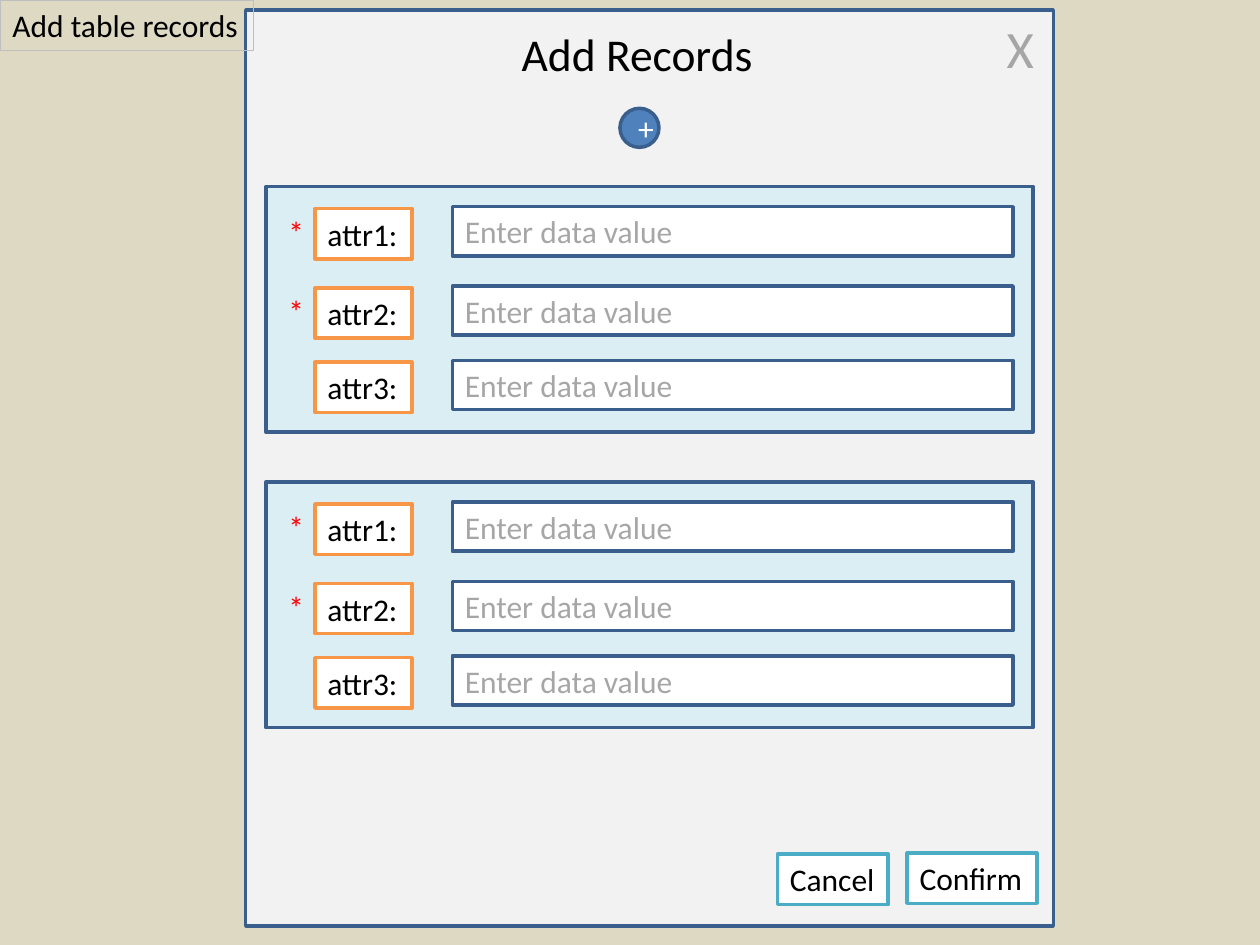
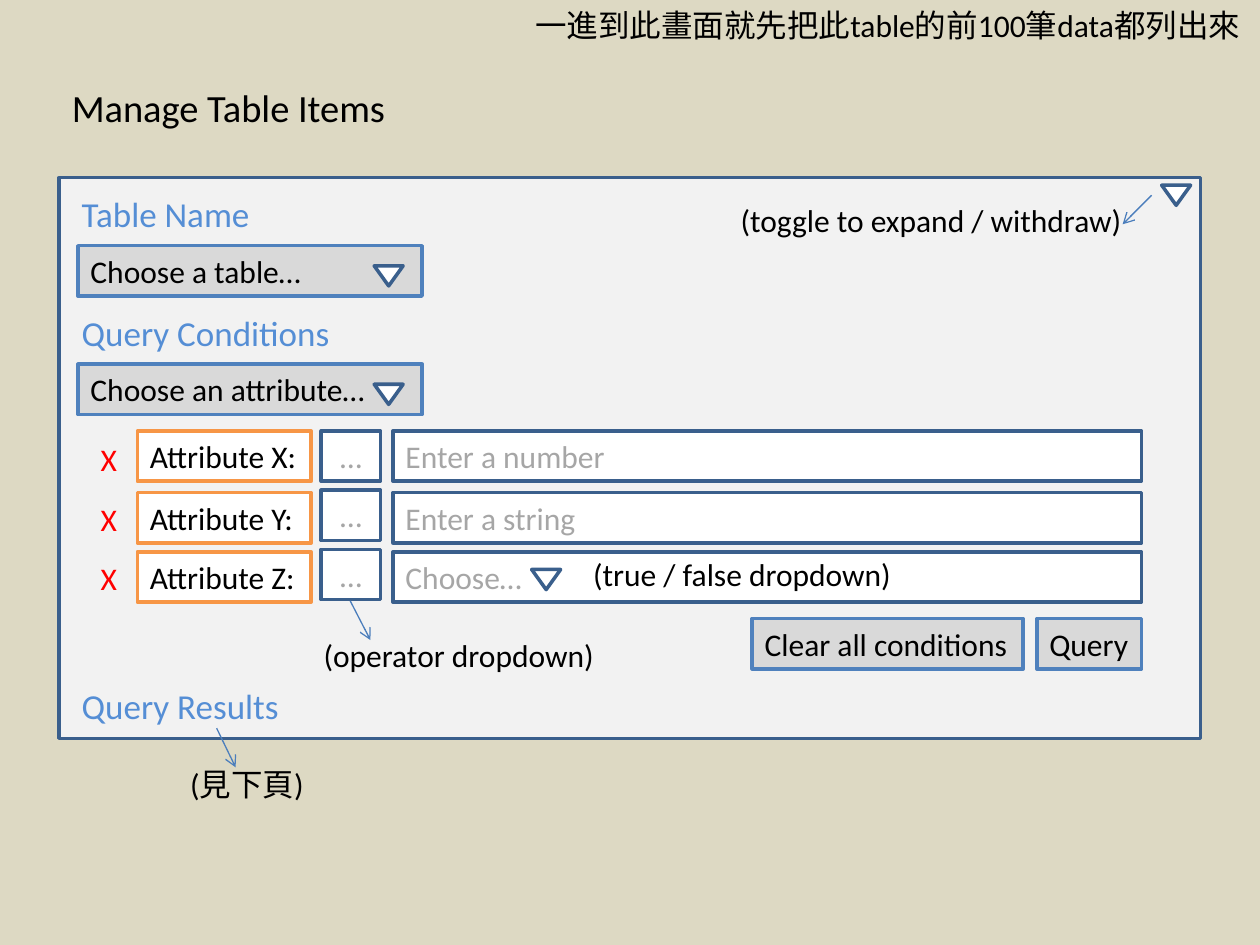
from dataclasses import dataclass, replace
from typing import NamedTuple

from lxml.etree import SubElement
from pptx import Presentation
from pptx.dml.color import RGBColor
from pptx.enum.shapes import MSO_CONNECTOR, MSO_SHAPE
from pptx.enum.text import MSO_ANCHOR, MSO_AUTO_SIZE, PP_ALIGN
from pptx.oxml.ns import qn
from pptx.util import Inches, Pt

WIDTH, HEIGHT = Inches(10), Inches(7.5)
COL, ROW = WIDTH / 100, HEIGHT / 75  # grid of 100 columns by 75 rows
FONT = "Calibri"

SAND, PANEL, PALE_BLUE, BUTTON = "DDD9C3", "F2F2F2", "DBEEF4", "D9D9D9"
WHITE, BLACK, HINT, RED = "FFFFFF", "000000", "A6A6A6", "FF0000"
NAVY, BLUE, HEADING, ARROW = "3A5F8C", "4F81BD", "558ED5", "4B7EBC"
ORANGE, TEAL, SILVER = "F79646", "4BACC6", "BFBFBF"


class Box(NamedTuple):
    """Left, top, width and height in grid columns and rows."""
    x: float
    y: float
    w: float
    h: float

    def lengths(self) -> tuple[int, int, int, int]:
        return (int(self.x * COL), int(self.y * ROW),
                int(self.w * COL), int(self.h * ROW))


@dataclass(frozen=True)
class TextStyle:
    color: str = BLACK
    size: float = 18
    wrap: bool = False
    grow: bool = True
    align: PP_ALIGN = PP_ALIGN.LEFT


@dataclass(frozen=True)
class ShapeStyle:
    fill: str | None
    line: str
    weight: float = 2
    text: TextStyle = TextStyle()


@dataclass(frozen=True)
class Condition:
    label: str
    hint: str
    top: float
    operator_top: float
    remove_top: float


PLAIN = TextStyle()
NOTE = TextStyle(wrap=True)
SECTION = TextStyle(HEADING, 20)
MARK = TextStyle(RED)
HINT_TEXT = TextStyle(HINT, wrap=True, grow=False)

DIALOG = ShapeStyle(PANEL, NAVY)
RECORD = ShapeStyle(PALE_BLUE, NAVY)
TAG = ShapeStyle(None, SILVER, 0.75)
LABEL = ShapeStyle(WHITE, ORANGE)
FIELD = ShapeStyle(WHITE, NAVY, text=HINT_TEXT)
OPERATOR = replace(FIELD, text=replace(HINT_TEXT, align=PP_ALIGN.CENTER))
ADD_BUTTON = ShapeStyle(BLUE, NAVY, text=replace(OPERATOR.text, color=WHITE))
DIALOG_BUTTON = ShapeStyle(WHITE, TEAL)
QUERY_BUTTON = ShapeStyle(BUTTON, BLUE)
DROPDOWN = replace(QUERY_BUTTON, text=NOTE)


def rgb(code: str) -> RGBColor:
    return RGBColor.from_string(code)


def set_text(sp, text: str, style: TextStyle) -> None:
    tf = sp.text_frame
    tf.text = text
    tf.word_wrap = style.wrap
    tf.auto_size = (MSO_AUTO_SIZE.SHAPE_TO_FIT_TEXT if style.grow
                    else MSO_AUTO_SIZE.NONE)
    tf.vertical_anchor = MSO_ANCHOR.TOP if style.grow else MSO_ANCHOR.MIDDLE
    p = tf.paragraphs[0]
    p.alignment = style.align
    p.font.name, p.font.size = FONT, Pt(style.size)
    p.font.color.rgb = rgb(style.color)


def add_shape(s, box: Box, style: ShapeStyle, text: str = "",
              kind: MSO_SHAPE = MSO_SHAPE.RECTANGLE) -> None:
    sp = s.shapes.add_shape(kind, *box.lengths())
    sp.shadow.inherit = False
    if style.fill:
        sp.fill.solid()
        sp.fill.fore_color.rgb = rgb(style.fill)
    else:
        sp.fill.background()
    sp.line.color.rgb = rgb(style.line)
    sp.line.width = Pt(style.weight)
    if text:
        set_text(sp, text, style.text)


def add_text(s, box: Box, text: str, style: TextStyle = PLAIN) -> None:
    set_text(s.shapes.add_textbox(*box.lengths()), text, style)


def add_toggle(s, x: float, y: float) -> None:
    add_shape(s, Box(x, y, 2.3, 1.6), FIELD, kind=MSO_SHAPE.FLOWCHART_MERGE)


def add_arrow(s, x1: float, y1: float, x2: float, y2: float) -> None:
    line = s.shapes.add_connector(MSO_CONNECTOR.STRAIGHT, int(x1 * COL),
                                  int(y1 * ROW), int(x2 * COL), int(y2 * ROW))
    line.line.color.rgb = rgb(ARROW)
    line.line.width = Pt(0.75)
    SubElement(line.line._get_or_add_ln(), qn("a:tailEnd"), type="arrow")
    SubElement(line._element.spPr, qn("a:effectLst"))


def add_screen(prs, panel: Box, title: str, title_box: Box, size: float):
    """Add a slide with its panel and, in front of it, its title."""
    s = prs.slides.add_slide(prs.slide_layouts.get_by_name("Title Only"))
    add_shape(s, panel, DIALOG)
    sp = s.shapes.title
    sp.left, sp.top, sp.width, sp.height = title_box.lengths()
    set_text(sp, title, TextStyle(size=size))
    sp.element.getparent().append(sp.element)
    return s


def add_record(s, top: float) -> None:
    add_shape(s, Box(21.1, top, 60.9, 19.5), RECORD)
    rows = (("attr1:", 1.6, True), ("attr2:", 7.9, True),
            ("attr3:", 13.8, False))
    for name, offset, required in rows:
        y = top + offset
        add_shape(s, Box(25, y + 0.15, 7.7, 4), LABEL, name)
        add_shape(s, Box(35.9, y, 44.5, 3.9), FIELD, "Enter data value")
        if required:
            add_text(s, Box(21.9, y, 3.3, 4), "*", MARK)


def add_records_slide(prs) -> None:
    s = add_screen(prs, Box(19.5, 0.8, 64.1, 72.7),
                   "Add Records", Box(40.4, 1.6, 20.5, 5.4), 26)
    add_shape(s, Box(0, 0, 20.1, 4), TAG, "Add table records")
    add_text(s, Box(78.9, 0.8, 4.2, 6.1), "X", TextStyle(HINT, 30))
    add_shape(s, Box(49.2, 8.6, 3.1, 3.1), ADD_BUTTON, "+", MSO_SHAPE.OVAL)
    for top in (14.8, 38.25):
        add_record(s, top)
    add_shape(s, Box(61.7, 67.8, 8.8, 4), DIALOG_BUTTON, "Cancel")
    add_shape(s, Box(72, 67.7, 10.3, 4), DIALOG_BUTTON, "Confirm")


def add_condition(s, c: Condition) -> None:
    add_text(s, Box(7, c.remove_top, 3.3, 4), "X", MARK)
    add_shape(s, Box(10.9, c.top, 13.8, 4), LABEL, c.label)
    add_shape(s, Box(25.5, c.operator_top, 4.7, 4), OPERATOR, "…")
    add_shape(s, Box(31.2, c.top, 59.4, 4), FIELD, c.hint)


def add_manage_slide(prs) -> None:
    s = add_screen(prs, Box(4.7, 14.1, 90.6, 44.5),
                   "Manage Table Items", Box(4.7, 6.2, 27.2, 4.7), 22)
    add_text(s, Box(41.5, 0, 58.5, 4),
             "一進到此畫面就先把此table的前100筆data都列出來", NOTE)

    choosers = (("Table Name", 15.5, 14.8, "Choose a table…"),
                ("Query Conditions", 21.9, 24.2, "Choose an attribute…"))
    for heading, width, y, prompt in choosers:
        add_text(s, Box(5.5, y, width, 4.4), heading, SECTION)
        add_shape(s, Box(6.2, y + 4.7, 27.3, 4), DROPDOWN, prompt)
        add_toggle(s, 29.7, y + 6.3)
    add_text(s, Box(5.5, 53.8, 17.8, 4.4), "Query Results", SECTION)

    conditions = (
        Condition("Attribute X:", "Enter a number", 34.2, 34.2, 34.4),
        Condition("Attribute Y:", "Enter a string", 39.1, 38.9, 39.2),
        Condition("Attribute Z:", "Choose…", 43.8, 43.6, 43.9),
    )
    for condition in conditions:
        add_condition(s, condition)
    add_toggle(s, 42.2, 45.2)

    add_shape(s, Box(59.7, 49.1, 21.5, 4), QUERY_BUTTON,
              "Clear all conditions")
    add_shape(s, Box(82.3, 49.1, 8.3, 4), QUERY_BUTTON, "Query")
    add_toggle(s, 92.2, 14.7)

    add_text(s, Box(57.8, 15.5, 32.6, 4), "(toggle to expand / withdraw)")
    add_text(s, Box(46.1, 43.6, 26, 4), "(true / false dropdown)")
    add_text(s, Box(24.7, 50, 23.7, 4), "(operator dropdown)")
    add_text(s, Box(14.1, 60.2, 11.1, 4), "(見下頁)", NOTE)
    add_arrow(s, 91.4, 15.5, 89.1, 17.8)
    add_arrow(s, 27.8, 47.7, 29.4, 50.8)
    add_arrow(s, 17.2, 57.8, 18.7, 60.9)


def main() -> None:
    prs = Presentation()
    prs.slide_width, prs.slide_height = WIDTH, HEIGHT
    background = prs.slide_master.background.fill
    background.solid()
    background.fore_color.rgb = rgb(SAND)
    add_records_slide(prs)
    add_manage_slide(prs)
    prs.save("out.pptx")


if __name__ == "__main__":
    main()
